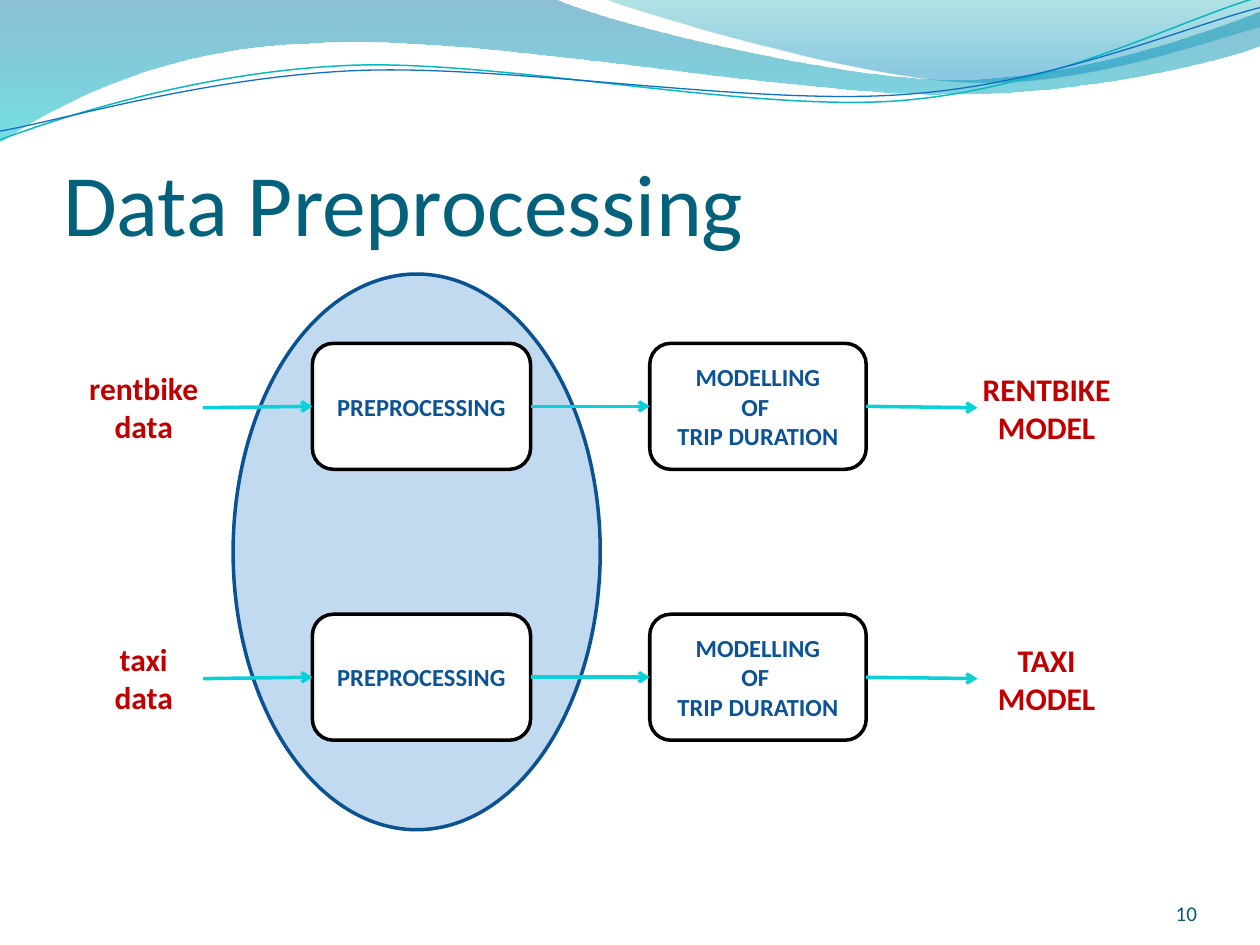
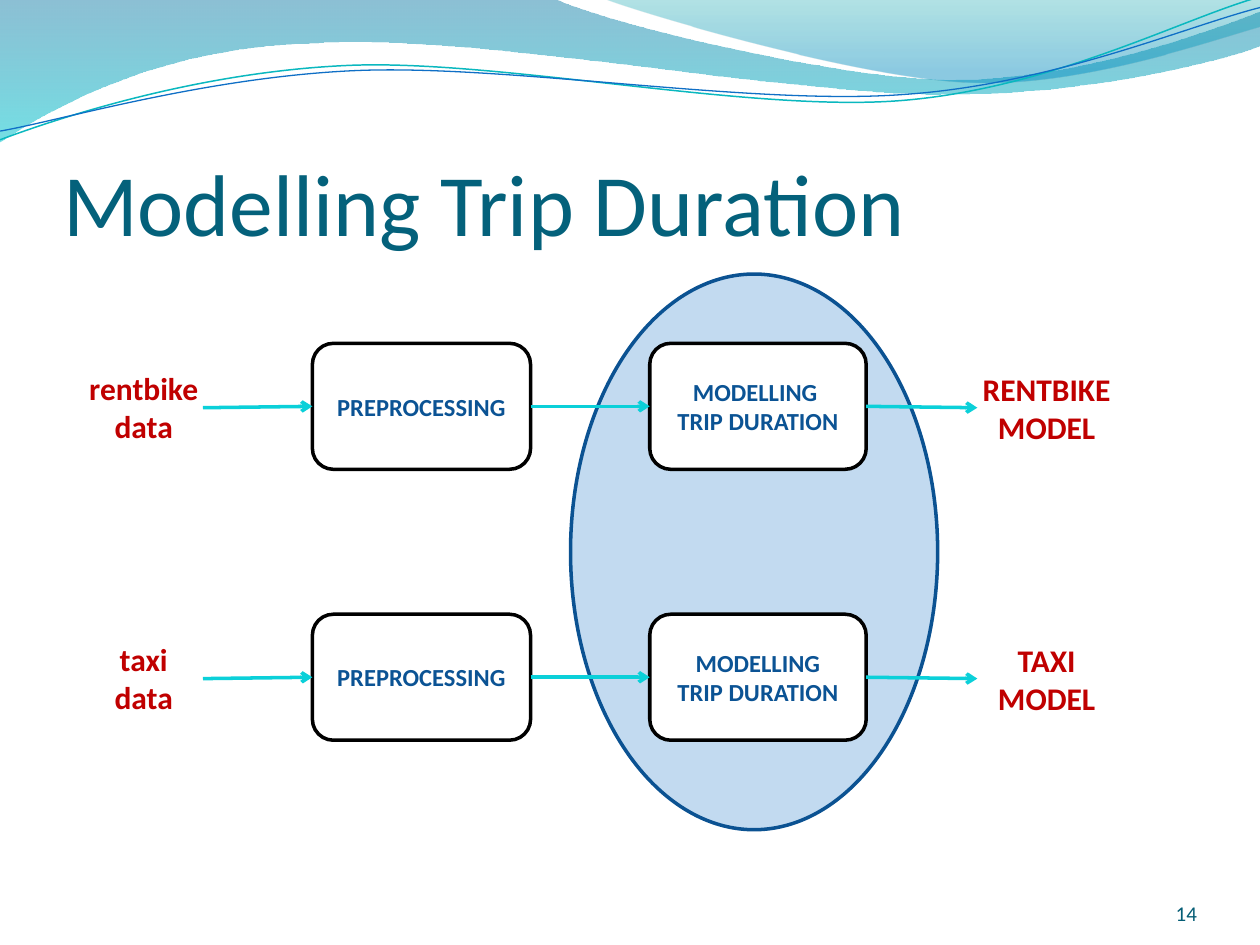
"""Build two slides that highlight successive stages of a trip-duration pipeline."""
from dataclasses import dataclass

from lxml.etree import SubElement
from pptx import Presentation
from pptx.dml.color import RGBColor
from pptx.enum.shapes import MSO_CONNECTOR as Link, MSO_SHAPE as Preset
from pptx.enum.text import MSO_ANCHOR as Anchor, MSO_AUTO_SIZE as AutoSize, PP_ALIGN as Align
from pptx.oxml.ns import qn
from pptx.shapes.autoshape import Shape
from pptx.slide import Slide
from pptx.util import Pt

FONT = "Calibri"
COLORS = {
    "title": "04617B",
    "number": "045D75",
    "step": "0B5394",
    "label": "C00000",
    "white": "FFFFFF",
    "black": "000000",
    "arrow": "0BD0D9",
    "highlight": "0F6FC6",
    "highlight_edge": "0B5292",
    "wave_top": "0074A1",
    "wave_bottom": "00C6CF",
    "crest_top": "00A1A9",
    "crest_bottom": "008BBF",
    "teal_line": "0AB8BF",
    "blue_line": "0F6FC6",
}
ROW_TOP, ROW_STEP, STEP_HEIGHT = 196.2, 154.8, 72
SOURCE_OFFSET, RESULT_OFFSET, LABEL_HEIGHT = 11.2, 11.8, 51.1
ARROW_DROP = 0.8
HIGHLIGHT_TOP, HIGHLIGHT_WIDTH, HIGHLIGHT_HEIGHT = 156.6, 209.8, 317.5

Point = tuple[float, float]


@dataclass(frozen=True)
class TextStyle:
    size: float
    color: str
    bold: bool = False
    align: Align = Align.CENTER
    anchor: Anchor = Anchor.MIDDLE


@dataclass(frozen=True)
class Span:
    left: float
    width: float

    @property
    def right(self) -> float:
        return self.left + self.width


@dataclass(frozen=True)
class GradientStop:
    position: float
    color: str
    opacity: int


@dataclass(frozen=True)
class Wave:
    """Hold an outline whose segments have one point (line) or three (curve)."""
    start: Point
    segments: tuple[tuple[Point, ...], ...]
    stops: tuple[GradientStop, ...] = ()
    line_color: str = ""
    line_width: float = 0


@dataclass(frozen=True)
class Flow:
    source: str
    modelling: str
    result: str


@dataclass(frozen=True)
class Stage:
    title: str
    number: str
    highlight_left: float
    modelling: tuple[str, str]


TITLE = TextStyle(50, "title", align=Align.LEFT, anchor=Anchor.BOTTOM)
NUMBER = TextStyle(12, "number", align=Align.RIGHT, anchor=Anchor.BOTTOM)
STEP = TextStyle(14, "step", bold=True)
LABEL = TextStyle(18, "label", bold=True, anchor=Anchor.TOP)

SOURCE, PREPROCESS = Span(48.3, 67.7), Span(178.5, 124.7)
MODELLING, RESULT = Span(371.3, 123.7), Span(558.5, 79.2)
ENDS = (("rentbike\ndata", "RENTBIKE\nMODEL"), ("taxi\ndata", "TAXI\nMODEL"))

STAGES = (
    Stage("Data Preprocessing", "10", 133.2, ("MODELLING\nOF \nTRIP DURATION",) * 2),
    Stage("Modelling Trip Duration", "14", 326,
          ("MODELLING \nTRIP DURATION", "MODELLING\nTRIP DURATION")),
)

WAVES = (
    Wave((0, 0), (
        ((316.8, -0.7),),
        ((342.7, 12.2), (478.1, 45.4), (545.8, 45.4)),
        ((614.2, 45.4), (689.8, 18.7), (720, 6.5)),
        ((720.7, 25.9),),
        ((707.8, 31.7), (626.4, 54.7), (537.1, 54)),
        ((447.8, 54), (275, 20.2), (185, 24.5)),
        ((92.9, 25.9), (33.1, 59.8), (-0.7, 81.4)),
        ((0, 0),),
    ), stops=(GradientStop(0, "wave_top", 45), GradientStop(1, "wave_bottom", 55))),
    Wave((344.9, -0.7), (
        ((366.5, 7.9), (491, 44.6), (553.7, 46.8)),
        ((616.3, 49.7), (691.9, 23), (720, 15.1)),
        ((720, 0),),
        ((344.9, -0.7),),
    ), stops=(GradientStop(0, "crest_top", 30), GradientStop(0.8, "crest_bottom", 45))),
    Wave((0, 79.9), (
        ((34.6, 67), (113.8, 41), (199.4, 37.4)),
        ((284.4, 33.8), (427, 64.1), (513.4, 57.6)),
        ((599.8, 51.1), (675.4, 10.8), (718.6, -1.4)),
    ), line_color="teal_line", line_width=0.85),
    Wave((0, 74.9), (
        ((33.8, 69.1), (118.1, 43.9), (203.8, 40.3)),
        ((290.2, 36.7), (429.8, 60.5), (516.2, 54)),
        ((601.9, 48.2), (677.5, 15.1), (720, 4.3)),
    ), line_color="blue_line", line_width=0.75),
)


def rgb(name: str) -> RGBColor:
    """Look up a named colour."""
    return RGBColor.from_string(COLORS[name])


def set_opacity(shape: Shape, percents: tuple[int, ...]) -> None:
    """Give the fill colours of a shape their opacity, in order."""
    for color, percent in zip(shape.element.spPr.iter(qn("a:srgbClr")), percents):
        SubElement(color, qn("a:alpha"), val=str(percent * 1000))


def write(shape: Shape, text: str, style: TextStyle) -> None:
    """Put styled text into a shape, one paragraph a line."""
    frame = shape.text_frame
    frame.word_wrap = True
    frame.vertical_anchor = style.anchor
    frame.text = text
    for para in frame.paragraphs:
        para.alignment = style.align
        for run in para.runs:
            run.font.name = FONT
            run.font.size = Pt(style.size)
            run.font.bold = style.bold
            run.font.color.rgb = rgb(style.color)


def add_text(slide: Slide, span: Span, top: float, height: float, text: str,
             style: TextStyle, inset: float = 0) -> Shape:
    """Add a text box without side insets."""
    box = slide.shapes.add_textbox(Pt(span.left), Pt(top), Pt(span.width), Pt(height))
    write(box, text, style)
    frame = box.text_frame
    frame.margin_left = frame.margin_right = 0
    frame.margin_top = frame.margin_bottom = Pt(inset)
    return box


def add_label(slide: Slide, span: Span, top: float, text: str) -> None:
    """Add the name of what enters or leaves a flow."""
    box = add_text(slide, span, top, LABEL_HEIGHT, text, LABEL, inset=3.6)
    box.text_frame.auto_size = AutoSize.SHAPE_TO_FIT_TEXT


def add_outlined(slide: Slide, preset: Preset, span: Span, top: float, height: float,
                 fill: str, line: str) -> Shape:
    """Add a filled preset shape with a two-point outline."""
    shape = slide.shapes.add_shape(preset, Pt(span.left), Pt(top), Pt(span.width), Pt(height))
    shape.shadow.inherit = False
    shape.fill.solid()
    shape.fill.fore_color.rgb = rgb(fill)
    shape.line.color.rgb = rgb(line)
    shape.line.width = Pt(2)
    return shape


def add_step(slide: Slide, span: Span, top: float, text: str) -> None:
    """Add one rounded processing step."""
    step = add_outlined(slide, Preset.ROUNDED_RECTANGLE, span, top, STEP_HEIGHT, "white", "black")
    write(step, text, STEP)


def add_arrow(slide: Slide, start: Point, end: Point) -> None:
    """Add an open-headed arrow."""
    arrow = slide.shapes.add_connector(Link.STRAIGHT, *map(Pt, start + end))
    arrow.line.color.rgb = rgb("arrow")
    arrow.line.width = Pt(2)
    properties = arrow.element.spPr
    SubElement(properties.find(qn("a:ln")), qn("a:tailEnd"), type="arrow")
    SubElement(properties, qn("a:effectLst"))


def bend(shape: Shape, wave: Wave) -> None:
    """Join the three lines of each curved segment into one Bézier curve."""
    lines = iter(list(shape.element.spPr.iter(qn("a:lnTo"))))
    for segment in wave.segments:
        group = [next(lines) for _ in segment]
        if len(group) == 3:
            curve = group[0].makeelement(qn("a:cubicBezTo"))
            group[0].addprevious(curve)
            for line in group:
                curve.append(line[0])
                line.getparent().remove(line)


def add_wave(slide: Slide, wave: Wave) -> None:
    """Draw a gradient band or a thin curved line."""
    builder = slide.shapes.build_freeform(*map(Pt, wave.start))
    points = [(Pt(x), Pt(y)) for segment in wave.segments for x, y in segment]
    builder.add_line_segments(points, close=bool(wave.stops))
    shape = builder.convert_to_shape()
    bend(shape, wave)
    shape.shadow.inherit = False
    if wave.stops:
        shape.line.fill.background()
        shape.fill.gradient()
        shape.fill.gradient_angle = 270
        for target, stop in zip(shape.fill.gradient_stops, wave.stops):
            target.position = stop.position
            target.color.rgb = rgb(stop.color)
        set_opacity(shape, tuple(stop.opacity for stop in wave.stops))
    else:
        shape.fill.background()
        shape.line.color.rgb = rgb(wave.line_color)
        shape.line.width = Pt(wave.line_width)


def add_flow(slide: Slide, top: float, flow: Flow) -> None:
    """Draw one row from its data to its model."""
    middle = top + STEP_HEIGHT / 2
    low = middle + ARROW_DROP
    add_step(slide, PREPROCESS, top, "PREPROCESSING")
    add_arrow(slide, (SOURCE.right, low), (PREPROCESS.left, middle))
    add_label(slide, SOURCE, top + SOURCE_OFFSET, flow.source)
    add_step(slide, MODELLING, top, flow.modelling)
    add_arrow(slide, (PREPROCESS.right, middle), (MODELLING.left, middle))
    add_arrow(slide, (MODELLING.right, middle), (RESULT.left, low))
    add_label(slide, RESULT, top + RESULT_OFFSET, flow.result)


def add_stage(slide: Slide, stage: Stage) -> None:
    """Draw a whole slide with its highlighted stage."""
    for wave in WAVES:
        add_wave(slide, wave)
    highlight = add_outlined(slide, Preset.OVAL, Span(stage.highlight_left, HIGHLIGHT_WIDTH),
                             HIGHLIGHT_TOP, HIGHLIGHT_HEIGHT, "highlight", "highlight_edge")
    set_opacity(highlight, (25,))
    title = add_text(slide, Span(36, 653.8), 55.4, 90, stage.title, TITLE)
    title.text_frame.margin_top = Pt(3.6)
    for row, ((source, result), modelling) in enumerate(zip(ENDS, stage.modelling)):
        add_flow(slide, ROW_TOP + row * ROW_STEP, Flow(source, modelling, result))
    add_text(slide, Span(624.2, 59.8), 500.4, 28.8, stage.number, NUMBER)


def main() -> None:
    """Build and save the deck."""
    deck = Presentation()
    deck.slide_width, deck.slide_height = Pt(720), Pt(540)
    for stage in STAGES:
        page = deck.slides.add_slide(deck.slide_layouts[6])
        add_stage(page, stage)
    deck.save("out.pptx")


if __name__ == "__main__":
    main()
